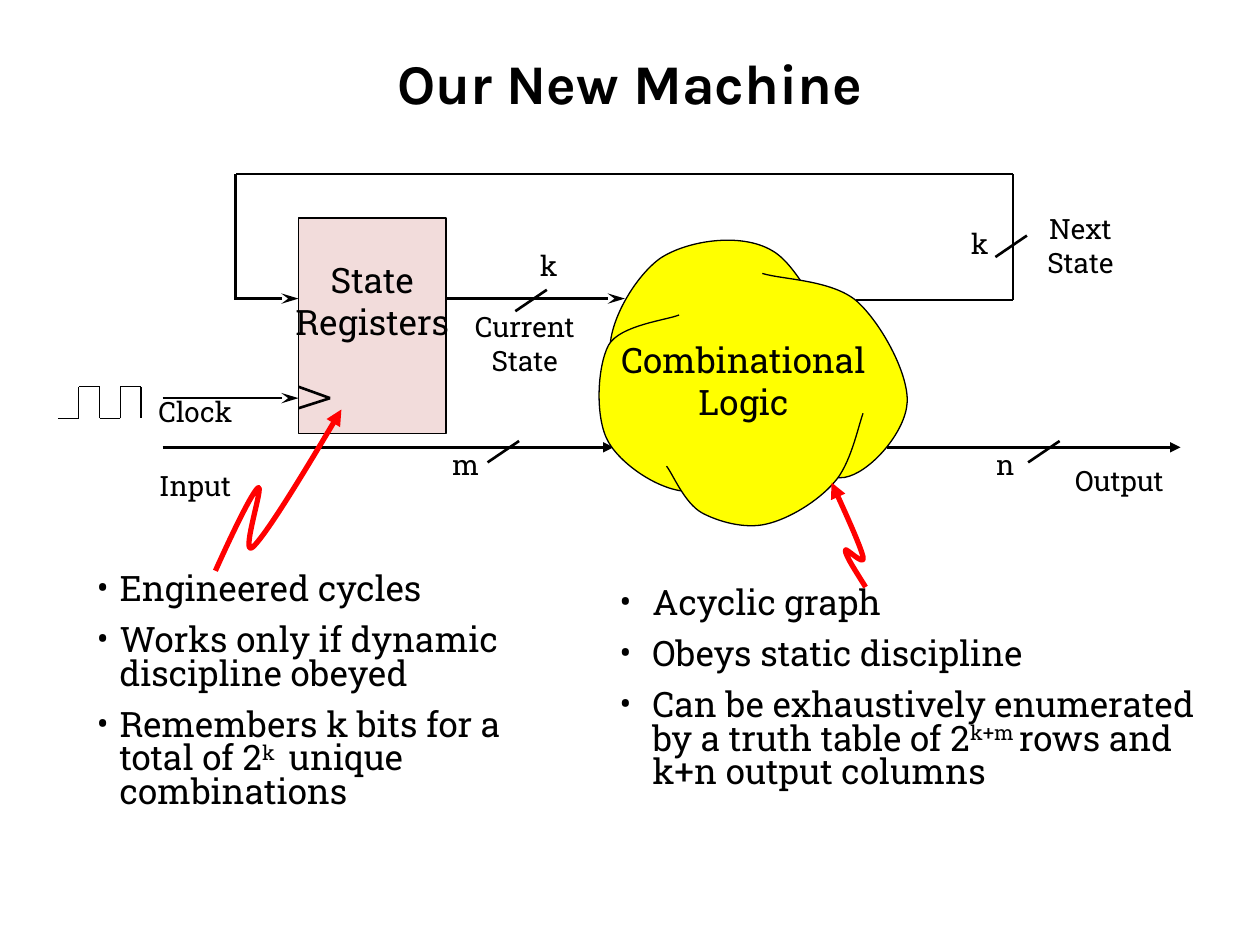
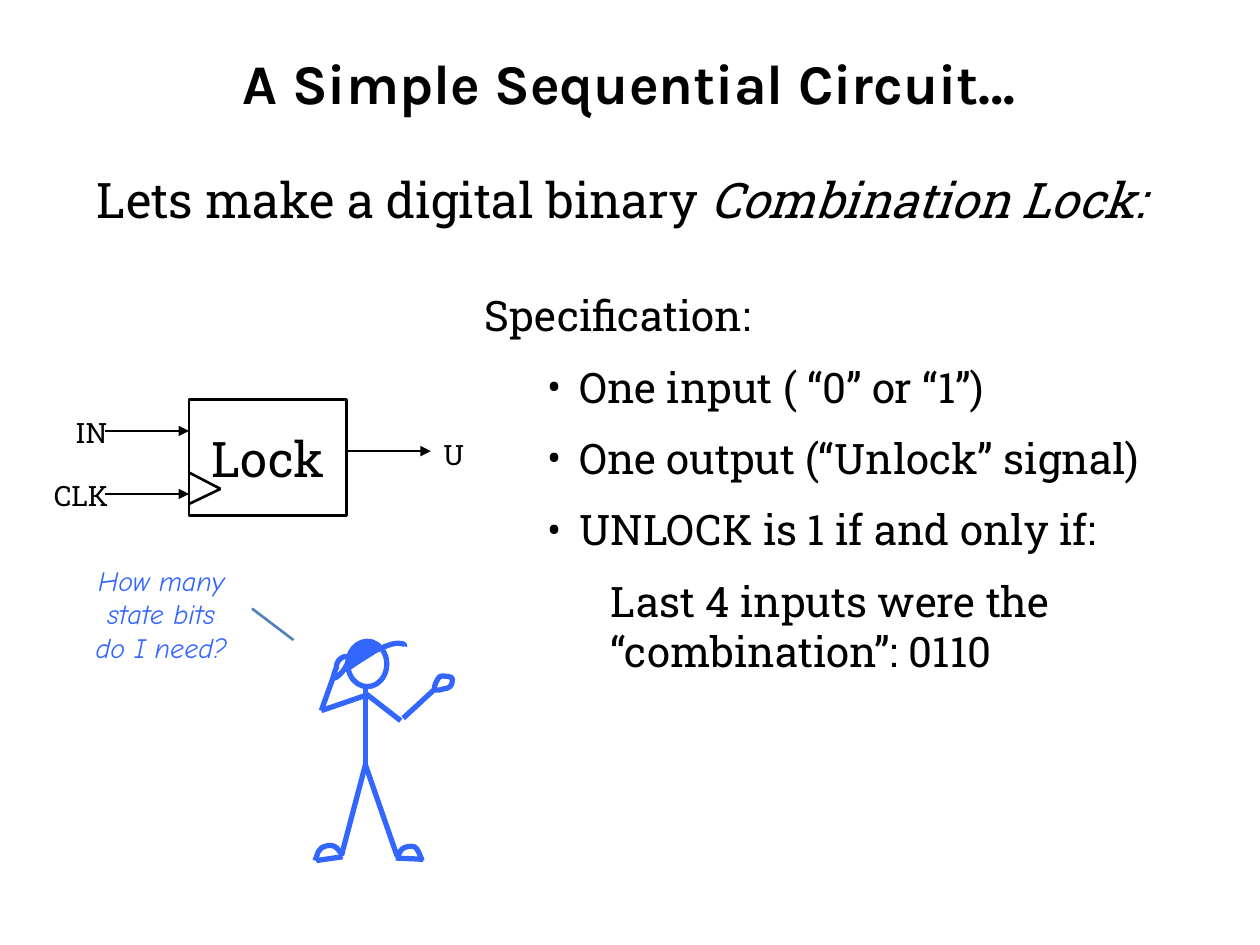
from dataclasses import dataclass
from itertools import pairwise
from typing import Any, NamedTuple

from lxml import etree
from pptx import Presentation
from pptx.dml.color import RGBColor
from pptx.enum.shapes import MSO_CONNECTOR, MSO_SHAPE
from pptx.enum.text import MSO_ANCHOR, MSO_AUTO_SIZE, PP_ALIGN
from pptx.oxml.ns import qn
from pptx.util import Cm, Pt

STRAIGHT = MSO_CONNECTOR.STRAIGHT
RECTANGLE, OVAL = MSO_SHAPE.RECTANGLE, MSO_SHAPE.OVAL
MIDDLE = MSO_ANCHOR.MIDDLE
GROW = MSO_AUTO_SIZE.SHAPE_TO_FIT_TEXT
LEFT, CENTER = PP_ALIGN.LEFT, PP_ALIGN.CENTER
TITLE_ONLY = 5
GRID_CM = 2.54  # one step of the drawing grid

Point = tuple[float, float]
Box = tuple[float, float, float, float]


@dataclass(frozen=True)
class Theme:
    ink: RGBColor = RGBColor(0, 0, 0)
    register: RGBColor = RGBColor(0xF2, 0xDC, 0xDB)
    cloud: RGBColor = RGBColor(0xFF, 0xFF, 0)
    callout: RGBColor = RGBColor(0xFF, 0, 0)
    figure: RGBColor = RGBColor(0x33, 0x66, 0xFF)
    pointer: RGBColor = RGBColor(0x4F, 0x81, 0xBD)
    title_font: str = "Karla"
    body_font: str = "Roboto Slab"
    speech_font: str = "Comic Neue"
    title: int = 32
    headline: int = 28
    specification: int = 24
    body: int = 20
    label: int = 16
    thin: float = 0.75
    wire: float = 1.5
    bold: float = 3


THEME = Theme()


class Run(NamedTuple):
    text: str
    italic: bool = False
    superscript: bool = False


class Para(NamedTuple):
    runs: tuple[Run, ...]
    level: int = 0
    margin: float = 0
    hang: float = 0
    line_spacing: float | None = None
    spaced: bool = False


@dataclass(frozen=True)
class Label:
    """Text in which \\n starts a paragraph and \\v breaks a line."""
    text: str
    box: Box
    size: int = THEME.label
    font: str = THEME.body_font
    color: RGBColor = THEME.ink
    italic: bool = False
    align: Any = CENTER


@dataclass(frozen=True)
class Wire:
    points: tuple[Point, ...]
    head: str = ""
    width: float = THEME.wire
    color: RGBColor = THEME.ink


@dataclass(frozen=True)
class Curve:
    """A start point, then two control points and an end point per arc."""
    points: tuple[Point, ...]
    color: RGBColor = THEME.ink
    width: float = THEME.thin
    fill: RGBColor | None = None
    head: str = ""


def grid(steps: float) -> int:
    return Cm(steps * GRID_CM)


def apply(target: Any, values: dict[str, Any]) -> None:
    for name, value in values.items():
        setattr(target, name, value)


# Text
def write(frame, paras: list[Para], size: int, font: str = THEME.body_font,
          color: RGBColor = THEME.ink, align: Any = LEFT, bold: bool = False) -> None:
    for index, para in enumerate(paras):
        paragraph = frame.paragraphs[0] if index == 0 else frame.add_paragraph()
        apply(paragraph, {"alignment": align, "level": para.level})
        if para.line_spacing:
            paragraph.line_spacing = para.line_spacing
        if para.spaced:
            paragraph.space_before = Pt(size / 2)
        properties = paragraph._p.get_or_add_pPr()
        if para.margin:
            properties.set("marL", str(grid(para.margin)))
            properties.set("indent", str(-grid(para.hang)))
        if para.hang:
            etree.SubElement(properties, qn("a:buFont")).set("typeface", font)
            etree.SubElement(properties, qn("a:buChar")).set("char", "•")
        for part in para.runs:
            for line_number, line in enumerate(part.text.split("\v")):
                if line_number:
                    paragraph.add_line_break()
                    etree.SubElement(paragraph._p[-1], qn("a:rPr")).set("sz", str(size * 100))
                run = paragraph.add_run()
                run.text = line
                apply(run.font, {"name": font, "size": Pt(size), "bold": bold, "italic": part.italic})
                run.font.color.rgb = color
                if part.superscript:
                    run._r.get_or_add_rPr().set("baseline", "30000")


def add_text(slide, box: Box, paras: list[Para], size: int, wrap: bool = True, **style: Any) -> None:
    frame = slide.shapes.add_textbox(*map(grid, box)).text_frame
    apply(frame, {"word_wrap": wrap, "auto_size": GROW})
    write(frame, paras, size, **style)


def add_label(slide, label: Label) -> None:
    paras = [Para((Run(text, label.italic),)) for text in label.text.split("\n")]
    add_text(slide, label.box, paras, label.size, wrap=False,
             font=label.font, color=label.color, align=label.align)


def add_titled_slide(deck, text: str):
    slide = deck.slides.add_slide(deck.slide_layouts[TITLE_ONLY])
    title = slide.shapes.title
    apply(title, dict(zip(("left", "top", "width", "height"), map(grid, (0.5, 0.3, 9, 0.7)))))
    apply(title.text_frame, {"vertical_anchor": MIDDLE, "word_wrap": True})
    write(title.text_frame, [Para((Run(text),))], THEME.title, THEME.title_font, align=CENTER, bold=True)
    return slide


# Lines and outlines
def style_line(shape, color: RGBColor, width: float, head: str = "") -> None:
    shape.line.color.rgb = color
    shape.line.width = Pt(width)
    if head:
        tail = etree.SubElement(shape.line._get_or_add_ln(), qn("a:tailEnd"))
        tail.set("type", head)
        tail.set("len", "lg" if head == "stealth" else "med")


def style_fill(shape, fill: RGBColor | None) -> None:
    shape.shadow.inherit = False
    if fill is None:
        shape.fill.background()
    else:
        shape.fill.solid()
        shape.fill.fore_color.rgb = fill


def add_wire(slide, wire: Wire) -> None:
    for start, end in pairwise(wire.points):
        line = slide.shapes.add_connector(STRAIGHT, *map(grid, start + end))
        style_line(line, wire.color, wire.width, wire.head)
        etree.SubElement(line._element.spPr, qn("a:effectLst"))


def add_curve(slide, curve: Curve) -> None:
    points = [(grid(x), grid(y)) for x, y in curve.points]
    builder = slide.shapes.build_freeform(*points[0])
    builder.add_line_segments(points[3::3], close=points[0] == points[-1])
    outline = builder.convert_to_shape()
    # Bend each segment with its two control points
    for index, segment in enumerate(list(outline._element.iter(qn("a:lnTo")))):
        segment.tag = qn("a:cubicBezTo")
        for place, (x, y) in enumerate(points[3 * index + 1:3 * index + 3]):
            control = etree.Element(qn("a:pt"), x=str(x - outline.left), y=str(y - outline.top))
            segment.insert(place, control)
    style_fill(outline, curve.fill)
    style_line(outline, curve.color, curve.width, curve.head)


def add_block(slide, kind, box: Box, width: float, fill: RGBColor | None = None,
              color: RGBColor = THEME.ink):
    block = slide.shapes.add_shape(kind, *map(grid, box))
    style_fill(block, fill)
    style_line(block, color, width)
    return block


def bus_tick(x: float, y: float) -> Wire:
    return Wire(((x, y), (x - 0.25, y + 0.17)))


def clock_wave(left: float, high: float, low: float, step: float) -> Wire:
    points = [(left, low)]
    for index, (level, following) in enumerate(((low, high), (high, low)) * 2, 1):
        x = left + index * step
        points += [(x, level), (x, following)]
    return Wire(tuple(points), width=THEME.thin)


def bullet(*runs: Run, hang: float) -> Para:
    return Para(runs, margin=hang, hang=hang, line_spacing=0.8, spaced=True)


# Slide 1: the state machine
CLOUD = (
    ((6.74, 2.93), (6.64, 2.78), (6.38, 2.13), (6.13, 1.99), (5.88, 1.84), (5.45, 1.91), (5.24, 2.05),
     (5.03, 2.2), (4.79, 2.61), (4.85, 2.86), (4.91, 3.12), (5.45, 3.43), (5.61, 3.58)),
    ((5.39, 2.5), (5.3, 2.54), (4.92, 2.58), (4.83, 2.74), (4.74, 2.91), (4.72, 3.32), (4.83, 3.51),
     (4.94, 3.7), (5.27, 3.92), (5.5, 3.9), (5.74, 3.89), (6.08, 3.52), (6.23, 3.41)),
    ((6.06, 3.56), (6.17, 3.6), (6.55, 3.85), (6.74, 3.78), (6.93, 3.72), (7.19, 3.42), (7.2, 3.19),
     (7.21, 2.96), (6.99, 2.56), (6.8, 2.39), (6.6, 2.22), (6.21, 2.22), (6.05, 2.17)),
    ((5.29, 3.7), (5.34, 3.76), (5.43, 3.99), (5.57, 4.07), (5.7, 4.14), (5.91, 4.2), (6.08, 4.16),
     (6.26, 4.12), (6.49, 3.98), (6.62, 3.83), (6.75, 3.69), (6.81, 3.39), (6.85, 3.28)),
)
CALLOUTS = (
    ((1.71, 4.53), (1.85, 4.22), (2, 3.91), (2.05, 3.87), (2.1, 3.84), (1.9, 4.44), (2.01, 4.34),
     (2.12, 4.23), (2.42, 3.74), (2.71, 3.25)),
    ((6.87, 4.66), (6.79, 4.53), (6.71, 4.41), (6.71, 4.37), (6.7, 4.33), (6.87, 4.51), (6.85, 4.42),
     (6.83, 4.34), (6.72, 4.09), (6.6, 3.83)),
)
MACHINE_WIRES = (
    *(Wire(((left, y), (right, y)), "stealth")
      for left, right, y in ((1.29, 2.37, 3.16), (1.87, 2.37, 2.37), (3.54, 4.96, 2.37))),
    Wire(((6.79, 2.38), (8.04, 2.38), (8.04, 1.38), (1.87, 1.38), (1.87, 2.38))),
    Wire(((7.04, 3.55), (9.37, 3.55)), "triangle"),
)
REGISTER_DETAILS = (
    Wire(((2.37, 3.07), (2.62, 3.16), (2.37, 3.24))),
    clock_wave(0.46, 3.07, 3.32, 0.165),
    *(bus_tick(x, y) for x, y in ((4.34, 2.3), (8.15, 1.87), (4.12, 3.5), (8.41, 3.5))),
)
MACHINE_LABELS = (
    Label("Combinational\nLogic", (4.79, 2.64, 2.22, 0.77), THEME.body),
    Label("State\vRegisters", (2.23, 2, 1.45, 0.77), THEME.body),
    Label("Current\nState", (3.61, 2.41, 1.11, 0.64)),
    Label("Next\nState", (8.19, 1.63, 0.77, 0.64)),
    *(Label(signal, (x, y, width, 0.37)) for signal, x, y, width in (
        ("Input", 1.15, 3.67, 0.8), ("Output", 8.37, 3.63, 1.03), ("Clock", 1.14, 3.08, 0.82),
        ("k", 4.18, 1.92, 0.35), ("k", 7.6, 1.75, 0.35), ("m", 3.48, 3.5, 0.43), ("n", 7.8, 3.5, 0.36))),
)
LOGIC_NOTES = (
    (Run("Acyclic graph"),),
    (Run("Obeys static discipline"),),
    (Run("Can be exhaustively enumerated by a truth table of 2"), Run("k+m ", superscript=True),
     Run("rows and k+n output columns")),
)
REGISTER_NOTES = (
    (Run("Engineered cycles"),),
    (Run("Works only if dynamic discipline obeyed"),),
    (Run("Remembers k bits for a total of 2"), Run("k ", superscript=True), Run(" unique combinations")),
)


def build_machine(deck) -> None:
    slide = add_titled_slide(deck, "Our New Machine")
    add_wire(slide, Wire(((1.29, 3.55), (4.87, 3.55)), "triangle"))
    for lobe in CLOUD:
        add_curve(slide, Curve(lobe, fill=THEME.cloud))
    for wire in MACHINE_WIRES:
        add_wire(slide, wire)
    add_block(slide, RECTANGLE, (2.37, 1.73, 1.17, 1.71), THEME.thin, THEME.register)
    for wire in REGISTER_DETAILS:
        add_wire(slide, wire)
    for label in MACHINE_LABELS:
        add_label(slide, label)
    for box, notes, hang in (((4.82, 4.62, 5.01, 1.8), LOGIC_NOTES, 0.26),
                             ((0.67, 4.51, 3.75, 2.06), REGISTER_NOTES, 0.18)):
        add_text(slide, box, [bullet(*runs, hang=hang) for runs in notes], THEME.body)
    for callout in CALLOUTS:
        add_curve(slide, Curve(callout, THEME.callout, THEME.bold, head="triangle"))


# Slide 2: the combination lock
LOCK_WIRES = (
    *(Wire(((left, y), (left + 0.67, y)), "triangle")
      for left, y in ((2.75, 3.58), (0.83, 3.42), (0.83, 3.92))),
    Wire(((1.5, 3.75), (1.75, 3.88), (1.5, 4))),
    Wire(((2.33, 5.08), (2, 4.83)), color=THEME.pointer),
)
LOCK_LABELS = (
    Label("IN", (0.5, 3.25, 0.46, 0.37), align=LEFT),
    Label("U", (3.42, 3.42, 0.38, 0.37), align=LEFT),
    Label("CLK", (0.33, 3.75, 0.66, 0.37), align=LEFT),
    Label("How many\vstate bits\vdo I need?", (0.58, 4.42, 1.4, 0.91),
          font=THEME.speech_font, color=THEME.figure, italic=True),
)
LIMBS = (
    ((2.9, 5.44), (2.9, 6.07), (3.15, 6.79)), ((2.9, 6.07), (2.71, 6.79)),
    ((3.14, 6.81), (3.36, 6.82)), ((2.72, 6.8), (2.51, 6.83)),
    ((2.91, 5.51), (3.18, 5.72)), ((3.2, 5.7), (3.45, 5.47)), ((2.9, 5.52), (2.55, 5.64), (2.65, 5.36)),
)
FEET_HANDS_AND_BRIM = (
    ((3.35, 6.83), (3.33, 6.78), (3.32, 6.74), (3.29, 6.72), (3.26, 6.71), (3.21, 6.72), (3.19, 6.74),
     (3.17, 6.76), (3.16, 6.8), (3.15, 6.81)),
    ((2.5, 6.83), (2.53, 6.76), (2.52, 6.75), (2.55, 6.73), (2.58, 6.71), (2.63, 6.7), (2.66, 6.72),
     (2.68, 6.73), (2.71, 6.78), (2.72, 6.79)),
    ((3.45, 5.47), (3.44, 5.45), (3.47, 5.39), (3.49, 5.37), (3.51, 5.36), (3.55, 5.37), (3.56, 5.37),
     (3.58, 5.37), (3.59, 5.38), (3.59, 5.39), (3.59, 5.4), (3.59, 5.44), (3.57, 5.45),
     (3.56, 5.46), (3.53, 5.47), (3.51, 5.47), (3.49, 5.48), (3.45, 5.48), (3.45, 5.47)),
    ((2.65, 5.38), (2.66, 5.39), (2.69, 5.36), (2.71, 5.34), (2.73, 5.32), (2.74, 5.3), (2.75, 5.28),
     (2.76, 5.26), (2.77, 5.24), (2.77, 5.23), (2.76, 5.22), (2.76, 5.21), (2.74, 5.21), (2.73, 5.21),
     (2.71, 5.22), (2.69, 5.24), (2.68, 5.25), (2.67, 5.27), (2.67, 5.3), (2.66, 5.32), (2.64, 5.37),
     (2.65, 5.38)),
    ((2.77, 5.3), (2.84, 5.25), (2.91, 5.21), (2.97, 5.17), (3.03, 5.14), (3.08, 5.12), (3.12, 5.11),
     (3.16, 5.1), (3.19, 5.11), (3.2, 5.11), (3.22, 5.11), (3.21, 5.13), (3.21, 5.13)),
)
CAP = ((2.76, 5.28), (2.74, 5.27), (2.76, 5.21), (2.77, 5.18), (2.79, 5.15), (2.83, 5.12), (2.86, 5.1),
       (2.89, 5.08), (2.92, 5.08), (2.95, 5.08), (2.97, 5.09), (2.99, 5.1), (3, 5.11), (3.01, 5.12),
       (3.03, 5.12), (3.01, 5.13), (3, 5.15), (2.94, 5.19), (2.9, 5.21), (2.86, 5.24), (2.78, 5.28),
       (2.76, 5.28))
REQUIREMENTS = ("One input ( “0” or “1”)", "One output (“Unlock” signal)", "UNLOCK is 1 if and only if:")


def build_lock(deck) -> None:
    slide = add_titled_slide(deck, "A Simple Sequential Circuit…")
    headline = Para((Run("Lets make a digital binary "), Run("Combination Lock:", italic=True)))
    add_text(slide, (0.67, 1.3, 8.87, 0.57), [headline], THEME.headline, wrap=False)
    specification = [
        Para((Run("Specification:"),), spaced=True),
        *(Para((Run(text),), 1, 0.75, 0.25, spaced=True) for text in REQUIREMENTS),
        Para((Run("Last 4 inputs were the “combination”: 0110"),), 2, 1, spaced=True),
    ]
    add_text(slide, (3.75, 2.25, 5.55, 4.34), specification, THEME.specification)
    lock = add_block(slide, RECTANGLE, (1.5, 3.17, 1.25, 0.92), THEME.wire)
    apply(lock.text_frame, {"word_wrap": False, "vertical_anchor": MIDDLE})
    write(lock.text_frame, [Para((Run("Lock"),))], THEME.headline, align=CENTER)
    for wire in LOCK_WIRES:
        add_wire(slide, wire)
    for label in LOCK_LABELS:
        add_label(slide, label)
    # Thinking figure
    for limb in LIMBS:
        add_wire(slide, Wire(limb, width=THEME.bold, color=THEME.figure))
    for outline in FEET_HANDS_AND_BRIM:
        add_curve(slide, Curve(outline, THEME.figure, THEME.bold))
    add_block(slide, OVAL, (2.76, 5.09, 0.31, 0.36), THEME.bold, color=THEME.figure)
    add_curve(slide, Curve(CAP, THEME.figure, fill=THEME.figure))


def main() -> None:
    deck = Presentation()
    apply(deck, {"slide_width": grid(10), "slide_height": grid(7.5)})
    build_machine(deck)
    build_lock(deck)
    deck.save("out.pptx")


if __name__ == "__main__":
    main()
